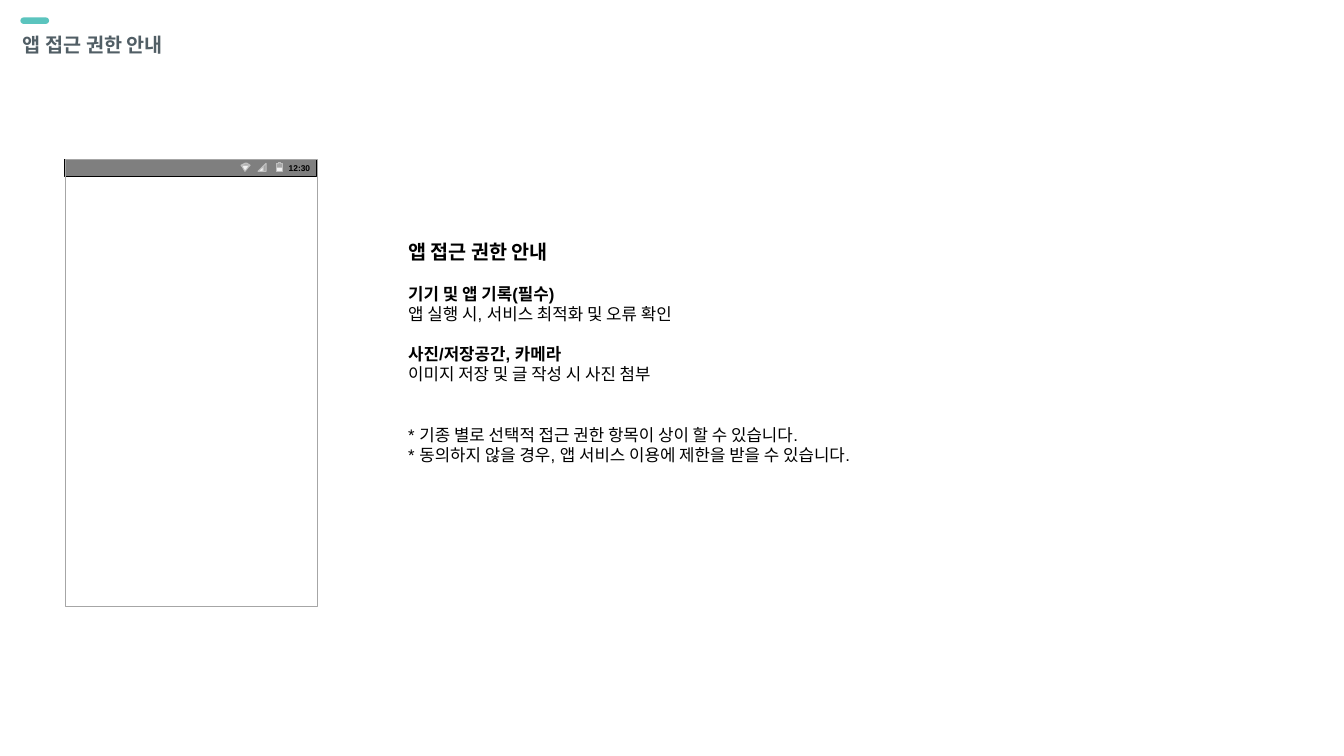
from lxml.etree import SubElement
from pptx import Presentation
from pptx.dml.color import RGBColor
from pptx.enum.shapes import MSO_SHAPE
from pptx.enum.text import MSO_ANCHOR, MSO_AUTO_SIZE, PP_ALIGN
from pptx.oxml.ns import qn
from pptx.util import Inches, Pt

COLORS = {
    "accent": "5BC4BE",
    "heading": "515E65",
    "black": "000000",
    "white": "FFFFFF",
    "icon_edge": "BFBFBF",
    "frame": "A6A6A6",
}


def paint(shape, fill, opacity, line, width):
    """Set fill (None for no fill), its opacity in percent, and the outline."""
    shape.shadow.inherit = False
    if fill:
        shape.fill.solid()
        shape.fill.fore_color.rgb = RGBColor.from_string(COLORS[fill])
        if opacity < 100:
            color = shape.fill._xPr.find(qn("a:solidFill"))[0]
            SubElement(color, qn("a:alpha"), val=str(opacity * 1000))
    else:
        shape.fill.background()
    shape.line.color.rgb = RGBColor.from_string(COLORS[line])
    shape.line.width = Pt(width)


def write(paragraph, text, color="black", **font_format):
    run = paragraph.add_run()
    run.text = text
    run.font.color.rgb = RGBColor.from_string(COLORS[color])
    for name, value in font_format.items():
        setattr(run.font, name, value)
    return run


prs = Presentation()
prs.slide_width, prs.slide_height = Inches(13.33), Inches(7.5)
slide = prs.slides.add_slide(prs.slide_layouts[6])

# Heading
accent_bar = slide.shapes.add_shape(
    MSO_SHAPE.ROUNDED_RECTANGLE, Inches(0.21), Inches(0.18), Inches(0.27), Inches(0.05))
accent_bar.adjustments[0] = 0.5
paint(accent_bar, "accent", 100, "accent", 1)

heading = slide.shapes.add_textbox(Inches(0.13), Inches(0.24), Inches(12.33), Inches(0.44)).text_frame
heading.word_wrap = True
heading.vertical_anchor = MSO_ANCHOR.MIDDLE
heading.paragraphs[0].line_spacing = 0.9
heading_font = "Noto Sans CJK KR"
heading_run = write(heading.paragraphs[0], "앱 접근 권한 안내", "heading",
                    name=heading_font, size=Pt(14), bold=True)
SubElement(heading_run.font._element, qn("a:ea"), typeface=heading_font)

# Permission notice: text, size, bold, space before in points
NOTICE = [
    ("앱 접근 권한 안내", 14, True, 0),
    ("기기 및 앱 기록(필수)", 12, True, 14.4),
    ("앱 실행 시, 서비스 최적화 및 오류 확인", 12, False, 0),
    ("사진/저장공간, 카메라", 12, True, 14.4),
    ("이미지 저장 및 글 작성 시 사진 첨부", 12, False, 0),
    ("* 기종 별로 선택적 접근 권한 항목이 상이 할 수 있습니다.", 12, False, 28.8),
    ("* 동의하지 않을 경우, 앱 서비스 이용에 제한을 받을 수 있습니다.", 12, False, 0),
]
notice = slide.shapes.add_textbox(Inches(3.95), Inches(2.33), Inches(5.25), Inches(2.56)).text_frame
notice.word_wrap = True
notice.auto_size = MSO_AUTO_SIZE.SHAPE_TO_FIT_TEXT
for index, (text, size, bold, space) in enumerate(NOTICE):
    paragraph = notice.add_paragraph() if index else notice.paragraphs[0]
    paragraph.space_before = Pt(space)
    write(paragraph, text, name="Arial", size=Pt(size), bold=bold)

# Phone mock-up
phone = slide.shapes.add_group_shape().shapes
status_bar = phone.add_shape(
    MSO_SHAPE.RECTANGLE, Inches(0.64), Inches(1.58), Inches(2.5), Inches(0.17))
paint(status_bar, "black", 50, "black", 0.75)

clock = phone.add_textbox(Inches(2.82), Inches(1.58), Inches(0.3), Inches(0.17)).text_frame
clock.margin_left = clock.margin_right = clock.margin_top = clock.margin_bottom = 0
clock.word_wrap = False
clock.vertical_anchor = MSO_ANCHOR.MIDDLE
clock.paragraphs[0].alignment = PP_ALIGN.CENTER
write(clock.paragraphs[0], "12:30", name="Arial", size=Pt(6), bold=True)

# Status icons: opacity, line width, outline in hundredths of an inch
ICONS = [
    # battery: empty part, charged part
    (30, 0, [(274, 162), (276, 162), (276, 161), (278, 161), (278, 162),
             (280, 162), (280, 166), (274, 166)]),
    (90, 0, [(274, 166), (280, 166), (280, 170), (274, 170)]),
    # mobile signal: empty part, filled part
    (30, 0.75, [(264, 162), (261, 165), (261, 170), (264, 170)]),
    (90, 0, [(256, 170), (261, 170), (261, 165)]),
    # wireless network: outer band, inner fan
    (30, 0, [(239, 164), (241, 163), (243, 162), (245, 162), (248, 164),
             (247, 165), (245, 164), (242, 164), (240, 165)]),
    (90, 0, [(240, 165), (242, 164), (245, 164), (247, 165), (243, 170)]),
]
for opacity, width, points in ICONS:
    builder = phone.build_freeform(*points[0], scale=Inches(0.01))
    builder.add_line_segments(points[1:], close=True)
    paint(builder.convert_to_shape(), "white", opacity, "icon_edge", width)

phone_frame = phone.add_shape(
    MSO_SHAPE.RECTANGLE, Inches(0.65), Inches(1.58), Inches(2.5), Inches(4.44))
paint(phone_frame, None, 100, "frame", 0.5)

prs.save("out.pptx")
